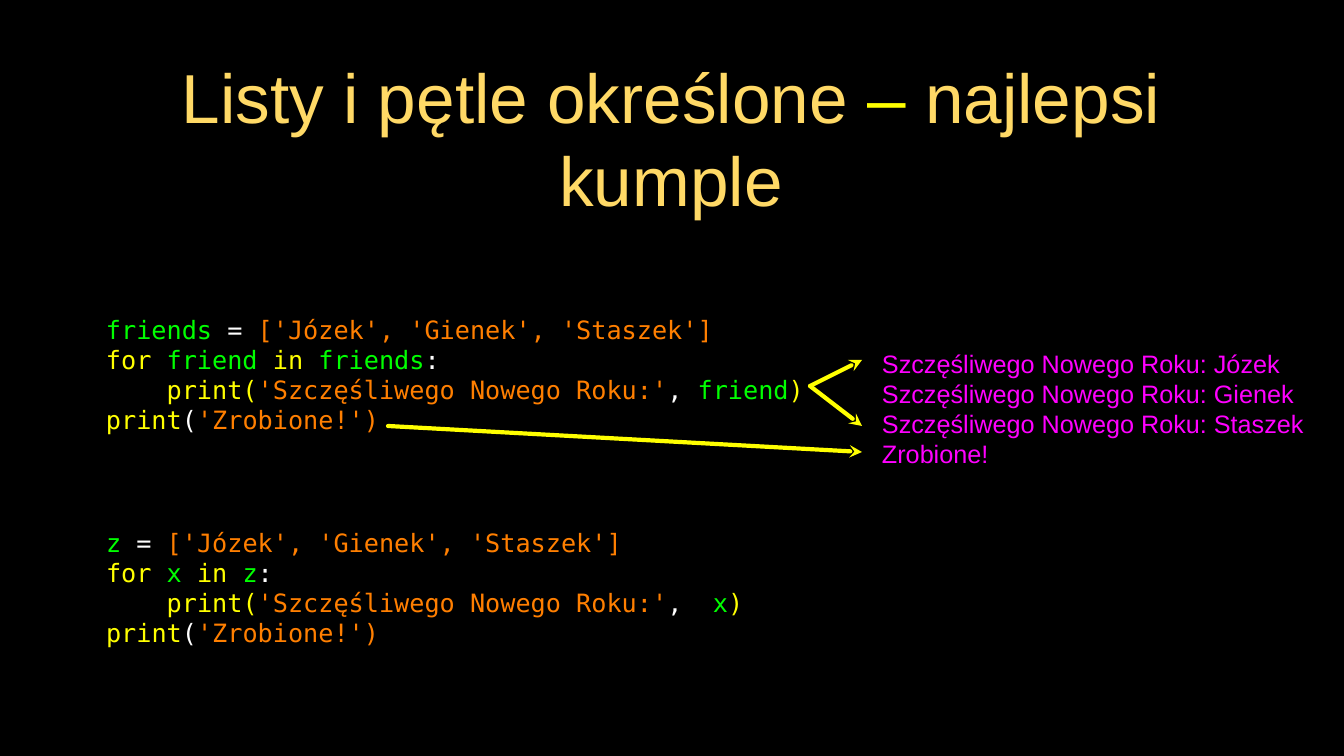
from dataclasses import dataclass

from lxml import etree
from pptx import Presentation
from pptx import util as u
from pptx.dml.color import RGBColor
from pptx.enum import shapes, text
from pptx.oxml import ns

EMU_PER_PX = 12096


@dataclass(frozen=True)
class Theme:
    background: str = "000000"
    title: str = "FFD966"
    keyword: str = "FFFF00"
    variable: str = "00FF00"
    literal: str = "FF7F00"
    plain: str = "FFFFFF"
    output: str = "FF00FF"
    sans: str = "Arial"
    mono: str = "DejaVu Sans Mono"
    title_pt: int = 66
    body_pt: int = 24
    arrow_pt: int = 4
    leading: float = 1.2


@dataclass(frozen=True)
class Run:
    words: str
    color: str


@dataclass(frozen=True)
class TextBlock:
    left: int
    top: int
    width: int
    height: int
    lines: list[list[Run]]
    font: str
    size: int
    inset: int = 0
    align: text.PP_ALIGN = text.PP_ALIGN.LEFT


@dataclass(frozen=True)
class Arrow:
    x1: int
    y1: int
    x2: int
    y2: int


T = Theme()


def px(n: int) -> u.Emu:
    return u.Emu(n * EMU_PER_PX)


def loop_code(items: str, item: str, gap: str) -> list[list[Run]]:
    """Lines of the greeting program for the given variable names."""
    return [
        [Run(items, T.variable), Run(" = ", T.plain),
         Run("['Józek', 'Gienek', 'Staszek']", T.literal)],
        [Run("for ", T.keyword), Run(f"{item} ", T.variable),
         Run("in ", T.keyword), Run(items, T.variable), Run(":", T.plain)],
        [Run("    print(", T.keyword),
         Run("'Szczęśliwego Nowego Roku:'", T.literal),
         Run(f",{gap}", T.plain), Run(item, T.variable), Run(")", T.keyword)],
        [Run("print", T.keyword), Run("(", T.plain),
         Run("'Zrobione!')", T.literal)],
    ]


def draw_text(slide, block: TextBlock) -> None:
    sp = slide.shapes.add_textbox(px(block.left), px(block.top),
                                  px(block.width), px(block.height))
    tf = sp.text_frame
    tf.word_wrap = True
    tf.vertical_anchor = text.MSO_ANCHOR.MIDDLE
    tf.margin_left = tf.margin_right = px(block.inset)
    tf.margin_top = tf.margin_bottom = px(block.inset)
    for i, line in enumerate(block.lines):
        p = tf.add_paragraph() if i else tf.paragraphs[0]
        p.alignment = block.align
        p.line_spacing = u.Pt(block.size * T.leading)
        for run in line:
            r = p.add_run()
            r.text = run.words
            r.font.name = block.font
            r.font.size = u.Pt(block.size)
            r.font.color.rgb = RGBColor.from_string(run.color)


def draw_arrow(slide, arrow: Arrow) -> None:
    c = slide.shapes.add_connector(shapes.MSO_CONNECTOR.STRAIGHT,
                                   px(arrow.x1), px(arrow.y1),
                                   px(arrow.x2), px(arrow.y2))
    c.line.color.rgb = RGBColor.from_string(T.keyword)
    c.line.width = u.Pt(T.arrow_pt)
    # Round cap, arrowhead and no shadow
    ln = c.line._get_or_add_ln()
    ln.set("cap", "rnd")
    etree.SubElement(ln, ns.qn("a:tailEnd"), type="stealth")
    etree.SubElement(c._element.spPr, ns.qn("a:effectLst"))


def main() -> None:
    prs = Presentation()
    prs.slide_width, prs.slide_height = px(1344), px(756)
    s = prs.slides.add_slide(prs.slide_layouts[6])
    s.background.fill.solid()
    s.background.fill.fore_color.rgb = RGBColor.from_string(T.background)

    # Title
    title = [[Run("Listy i pętle określone ", T.title), Run("–", T.keyword),
              Run(" najlepsi kumple", T.title)]]
    draw_text(s, TextBlock(95, 65, 1152, 144, title, T.sans, T.title_pt,
                           inset=3, align=text.PP_ALIGN.CENTER))

    # Two versions of the program
    draw_text(s, TextBlock(106, 283, 705, 183,
                           loop_code("friends", "friend", " "),
                           T.mono, T.body_pt))
    draw_text(s, TextBlock(106, 496, 648, 183, loop_code("z", "x", "  "),
                           T.mono, T.body_pt))

    # Program output
    greetings = [f"Szczęśliwego Nowego Roku: {name}"
                 for name in ("Józek", "Gienek", "Staszek")]
    output = [[Run(line, T.output)] for line in greetings + ["Zrobione!"]]
    draw_text(s, TextBlock(882, 318, 435, 181, output, T.sans, T.body_pt))

    # Arrows from code to output
    for arrow in (Arrow(810, 386, 862, 360),
                  Arrow(810, 386, 862, 426),
                  Arrow(388, 426, 862, 452)):
        draw_arrow(s, arrow)

    prs.save("out.pptx")


if __name__ == "__main__":
    main()
